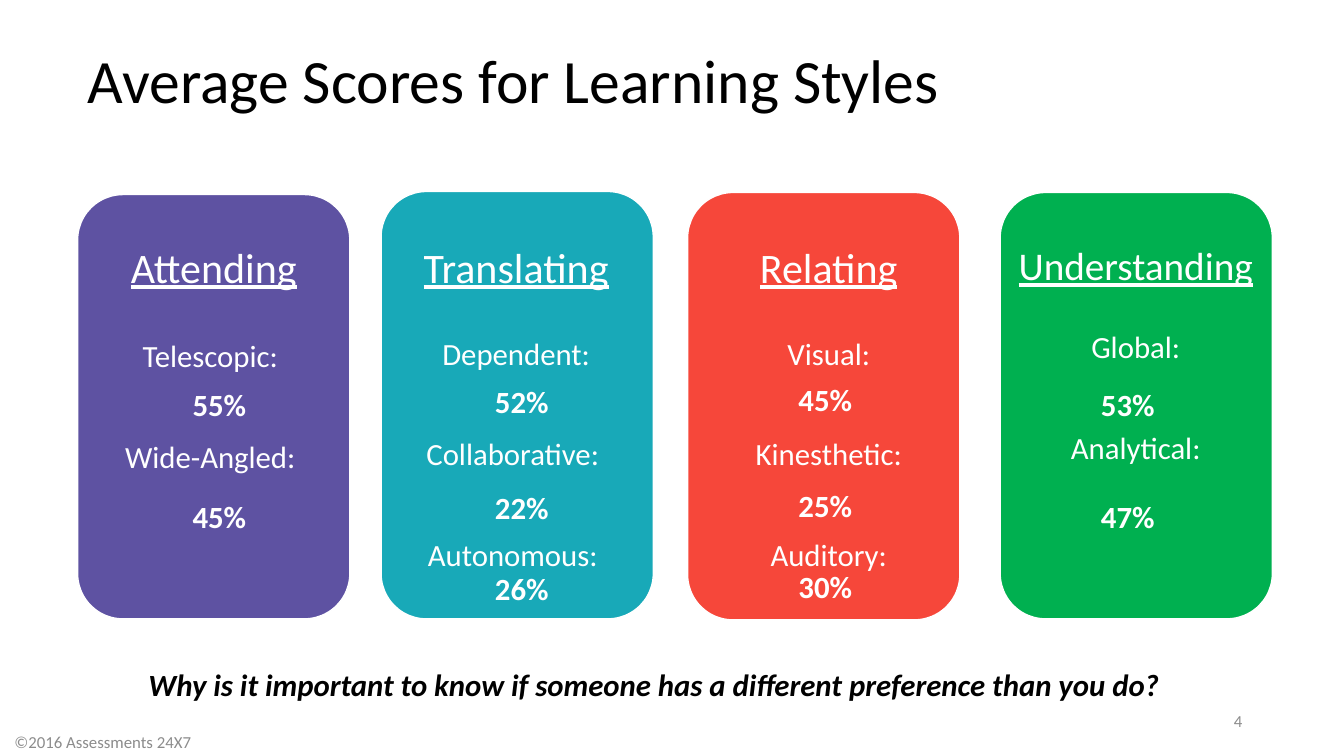
from pptx import Presentation
from pptx.dml.color import RGBColor
from pptx.enum.shapes import MSO_SHAPE
from pptx.enum.text import MSO_ANCHOR, PP_ALIGN
from pptx.util import Emu, Pt

PX = 9144


def color(value):
    """Turn a hex string into a colour."""
    return RGBColor.from_string(value)


def box(left, top, width, height):
    """Turn a box in px into EMU."""
    return [Emu(value * PX) for value in (left, top, width, height)]


class SlideBuilder:
    """Hold the style and the slide, and add elements to it."""

    font_name = "Calibri"
    white, black, grey = "FFFFFF", "000000", "8C8C8C"

    def __init__(self, presentation):
        """Add a title-only slide."""
        self.slide = presentation.slides.add_slide(presentation.slide_layouts[5])

    def paragraph(self, frame, text, first=False, tint=white, align=PP_ALIGN.CENTER,
                  line=1.0, before=0, **font):
        """Write one formatted paragraph."""
        paragraph = frame.paragraphs[0] if first else frame.add_paragraph()
        paragraph.alignment = align
        paragraph.line_spacing = line
        paragraph.space_before = Pt(before)
        run = paragraph.add_run()
        run.text = text
        formats = {"name": self.font_name, "size": Pt(22), **font}
        for name, value in formats.items():
            setattr(run.font, name, value)
        run.font.color.rgb = color(tint)

    def title(self, text, place):
        """Place and format the title."""
        shape = self.slide.shapes.title
        for name, value in zip(("left", "top", "width", "height"), box(*place)):
            setattr(shape, name, value)
        shape.text_frame.vertical_anchor = MSO_ANCHOR.MIDDLE
        self.paragraph(shape.text_frame, text, True, self.black, PP_ALIGN.LEFT,
                       line=0.9, size=Pt(44))

    def card(self, place, fill):
        """Add a rounded card."""
        shape = self.slide.shapes.add_shape(MSO_SHAPE.ROUNDED_RECTANGLE, *box(*place))
        shape.shadow.inherit = False
        shape.fill.solid()
        shape.fill.fore_color.rgb = color(fill)
        shape.line.color.rgb = color(self.white)
        shape.line.width = Pt(1)

    def text(self, place, paragraphs, inset=(10, 5, 10, 5), anchor=MSO_ANCHOR.TOP):
        """Add a text box from a list of paragraph formats."""
        frame = self.slide.shapes.add_textbox(*box(*place)).text_frame
        margins = zip(("left", "top", "right", "bottom"), inset)
        formats = {f"margin_{side}": Emu(value * PX) for side, value in margins}
        formats.update(word_wrap=True, vertical_anchor=anchor)
        for name, value in formats.items():
            setattr(frame, name, value)
        for index, values in enumerate(paragraphs):
            self.paragraph(frame, first=index == 0, **values)

    def labels(self, place, heading, size, gap, names):
        """Add a heading and the style names under it."""
        paragraphs = [dict(text=heading, size=Pt(size), underline=True, line=0.9)]
        for index, name in enumerate(names):
            before = 48.3 if index else gap
            paragraphs.append(dict(text=name, line=0.9, before=before))
        self.text(place, paragraphs, (23, 23, 23, 0))

    def scores(self, place, values, gaps):
        """Add the column of bold scores."""
        self.text(place, [dict(text=value, before=gap, bold=True)
                          for value, gap in zip(values, gaps)])


TWO_GAPS, THREE_GAPS = (0, 53.7), (0, 48.8, 31.7)
COLUMNS = [
    dict(card=(77, 193, 270, 421), fill="5E52A2", label_box=(77, 222, 270, 325),
         heading="Attending", size=30, gap=34.7,
         names=["Telescopic: ", "Wide-Angled: "],
         score_box=(160, 378, 115, 158), scores=["55%", "45%"], gaps=TWO_GAPS),
    dict(card=(378, 190, 270, 424), fill="18A9B8", label_box=(377, 222, 270, 380),
         heading="Translating", size=30, gap=33,
         names=["Dependent:", "Collaborative: ", "Autonomous: "],
         score_box=(460, 375, 115, 232), scores=["52%", "22%", "26%"], gaps=THREE_GAPS),
    dict(card=(682, 191, 270, 424), fill="F6473A", label_box=(687, 222, 270, 380),
         heading="Relating", size=30, gap=33,
         names=["Visual:", "Kinesthetic:", "Auditory:"],
         score_box=(761, 373, 115, 232), scores=["45%", "25%", "30%"], gaps=THREE_GAPS),
    dict(card=(992, 191, 270, 423), fill="00B050", label_box=(968, 222, 317, 325),
         heading="Understanding", size=28, gap=30.7,
         names=["Global:", "Analytical:"],
         score_box=(1061, 378, 115, 158), scores=["53%", "47%"], gaps=TWO_GAPS),
]


def main():
    """Build and save the slide."""
    presentation = Presentation()
    presentation.slide_width, presentation.slide_height = Emu(1333 * PX), Emu(750 * PX)
    builder = SlideBuilder(presentation)
    builder.title("Average Scores for Learning Styles", (77, 10, 1150, 145))
    for column in COLUMNS:
        builder.card(column["card"], column["fill"])
        builder.labels(column["label_box"], column["heading"], column["size"],
                       column["gap"], column["names"])
        builder.scores(column["score_box"], column["scores"], column["gaps"])
    small = dict(tint=builder.grey, size=Pt(12))
    builder.text((0, 722, 204, 28), [dict(text="©2016 Assessments 24X7", **small)],
                 (5, 0, 5, 0), MSO_ANCHOR.MIDDLE)
    builder.text((942, 695, 300, 40), [dict(text="4", align=PP_ALIGN.RIGHT, **small)],
                 anchor=MSO_ANCHOR.MIDDLE)
    question = ("Why is it important to know if someone has a different "
                "preference than you do? ")
    builder.text((113, 656, 1078, 47),
                 [dict(text=question, tint=builder.black, bold=True, italic=True)])
    presentation.save("out.pptx")


if __name__ == "__main__":
    main()
